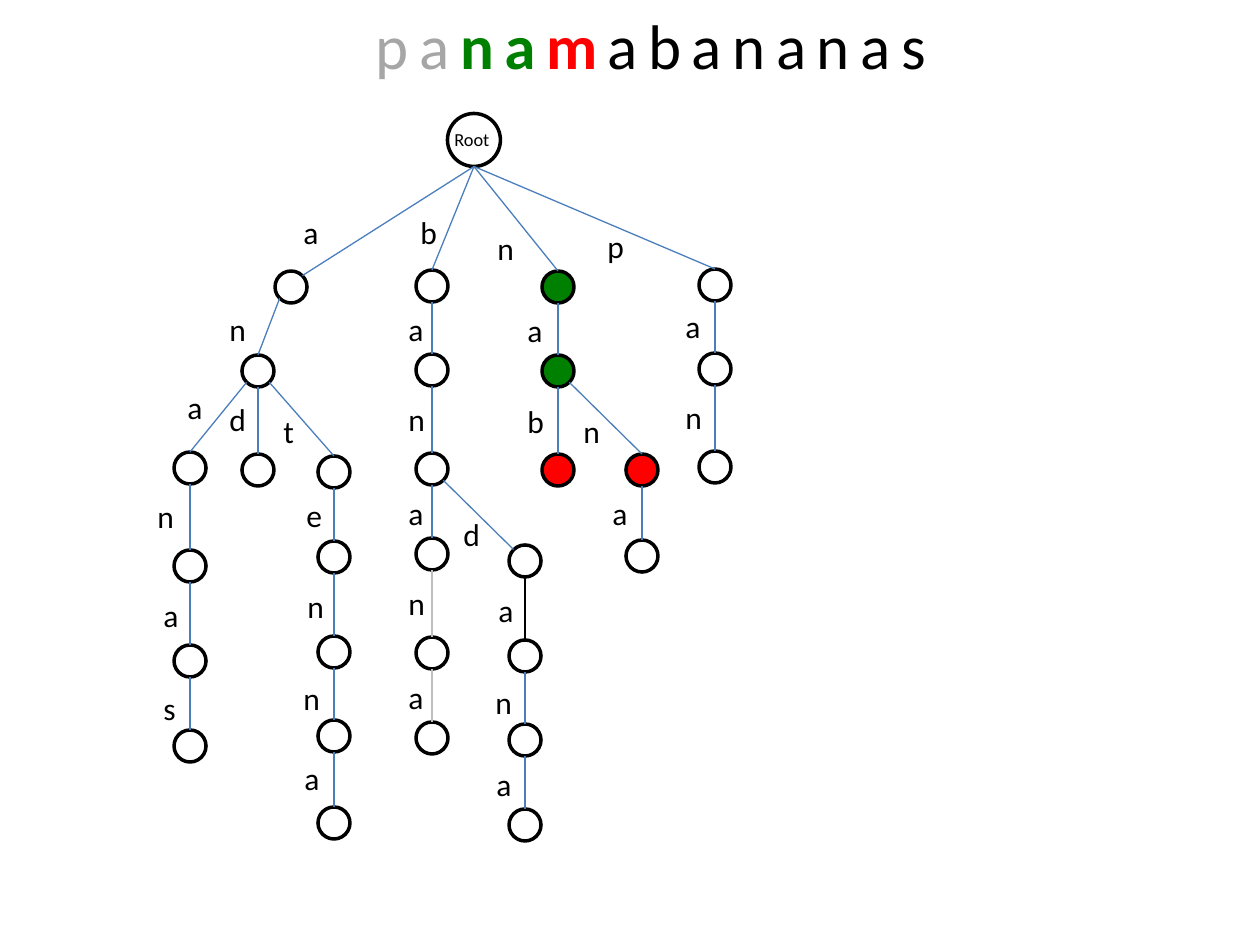
"""Draw the trie of eight patterns under the text panamabananas."""
from dataclasses import dataclass

from lxml import etree
from pptx import Presentation
from pptx.dml.color import RGBColor
from pptx.enum.shapes import MSO_CONNECTOR as Link, MSO_SHAPE as Shape
from pptx.enum.text import MSO_AUTO_SIZE as AutoSize, PP_ALIGN as Align
from pptx.oxml.ns import qn
from pptx.util import Emu, Pt


@dataclass(frozen=True)
class Theme:
    font: str = "Calibri"
    ink: str = "000000"
    paper: str = "FFFFFF"
    faded: str = "A6A6A6"
    match: str = "008000"
    mismatch: str = "FF0000"
    edge: str = "4B7EBC"
    pale_edge: str = "BFBFBF"
    title_size: float = 36
    label_size: float = 18
    root_size: float = 10.5
    node_line: float = 2
    edge_line: float = 0.75


THEME = Theme()
PX = 914400 // 126
NODE, ROOT = 32, 53

TITLE = [
    ("pa", THEME.faded, False),
    ("na", THEME.match, True),
    ("m", THEME.mismatch, True),
    ("abananas", THEME.ink, False),
]
ROOT_CENTER = (474, 140)
# prefix: node centre x, y, then label left, top
NODES = {
    "a": (291, 287, 291, 207),
    "an": (258, 371, 217, 304),
    "ana": (190, 468, 175, 382),
    "anan": (190, 566, 145, 491),
    "anana": (190, 661, 151, 590),
    "ananas": (190, 746, 151, 683),
    "and": (258, 470, 217, 394),
    "ant": (334, 472, 271, 406),
    "ante": (334, 557, 294, 490),
    "anten": (334, 652, 295, 581),
    "antenn": (334, 736, 291, 673),
    "antenna": (334, 823, 292, 753),
    "b": (432, 286, 408, 207),
    "ba": (432, 370, 396, 304),
    "ban": (432, 469, 396, 394),
    "bana": (432, 554, 396, 488),
    "banan": (432, 653, 396, 578),
    "banana": (432, 738, 396, 672),
    "band": (525, 561, 451, 509),
    "banda": (525, 656, 486, 585),
    "bandan": (525, 740, 483, 677),
    "bandana": (525, 825, 484, 759),
    "n": (558, 287, 485, 223),
    "na": (558, 371, 515, 305),
    "nab": (558, 470, 515, 396),
    "nan": (642, 470, 571, 406),
    "nana": (642, 556, 600, 488),
    "p": (715, 285, 595, 221),
    "pa": (715, 369, 673, 301),
    "pan": (715, 467, 673, 392),
}
FILLS = {"n": THEME.match, "na": THEME.match,
         "nab": THEME.mismatch, "nan": THEME.mismatch}
EDGE_COLORS = {"banan": THEME.pale_edge, "banana": THEME.pale_edge,
               "banda": THEME.ink}
STARTS = {"an": (-0.71, 0.71), "ana": (-0.71, 0.71), "ant": (0.71, 0.71),
          "band": (0.71, 0.71), "nan": (0.71, 0.71)}
ENDS = {"a": (0.71, -0.71), "band": (-0.71, -0.71)}
BOTTOM, TOP = (0, 1), (0, -1)
LABEL_WIDTHS = {"a": 40, "e": 42, "s": 38, "t": 37}


def px(value):
    return Emu(round(value * PX))


def rgb(color):
    return RGBColor.from_string(color)


def add_text(page, left, top, width, height, spans, size, wrap=False, spacing=0):
    box = page.shapes.add_textbox(px(left), px(top), px(width), px(height))
    frame = box.text_frame
    frame.word_wrap = wrap
    frame.auto_size = AutoSize.SHAPE_TO_FIT_TEXT
    para = frame.paragraphs[0]
    para.font.name, para.font.size = THEME.font, Pt(size)
    for text, color, bold in spans:
        span = para.add_run()
        span.text = text
        span.font.color.rgb = rgb(color)
        span.font.bold = bold
        if spacing:
            span.font._element.set("spc", str(spacing * 100))
    return para


def add_node(page, center, size, fill):
    x, y = center
    node = page.shapes.add_shape(
        Shape.OVAL, px(x - size / 2), px(y - size / 2), px(size), px(size))
    node.shadow.inherit = False
    node.fill.solid()
    node.fill.fore_color.rgb = rgb(fill)
    node.line.color.rgb = rgb(THEME.ink)
    node.line.width = Pt(THEME.node_line)
    return node


def rim_point(node, direction):
    return [Emu(round(start + size / 2 * (1 + step))) for start, size, step in
            zip((node.left, node.top), (node.width, node.height), direction)]


def add_edge(page, parent, child, prefix):
    end = ENDS.get(prefix, TOP)
    edge = page.shapes.add_connector(
        Link.STRAIGHT, *rim_point(parent, STARTS.get(prefix, BOTTOM)),
        *rim_point(child, end))
    if end == TOP:
        edge.end_connect(child, 0)
    edge.line.color.rgb = rgb(EDGE_COLORS.get(prefix, THEME.edge))
    edge.line.width = Pt(THEME.edge_line)
    etree.SubElement(edge._element.spPr, qn("a:effectLst"))


def main():
    deck = Presentation()
    deck.slide_width, deck.slide_height = px(1260), px(945)
    page = deck.slides.add_slide(deck.slide_layouts[6])

    title = add_text(page, 336, 0, 630, 89, TITLE, THEME.title_size,
                     wrap=True, spacing=6)
    title.alignment = Align.CENTER

    drawn = {"": add_node(page, ROOT_CENTER, ROOT, THEME.paper)}
    add_text(page, 442, 122, 69, 35, [("Root", THEME.ink, False)],
             THEME.root_size, wrap=True)

    for prefix, (x, y, left, top) in NODES.items():
        letter = prefix[-1]
        drawn[prefix] = add_node(page, (x, y), NODE,
                                 FILLS.get(prefix, THEME.paper))
        add_edge(page, drawn[prefix[:-1]], drawn[prefix], prefix)
        add_text(page, left, top, LABEL_WIDTHS.get(letter, 43), 50,
                 [(letter, THEME.ink, False)], THEME.label_size)

    deck.save("out.pptx")


if __name__ == "__main__":
    main()
